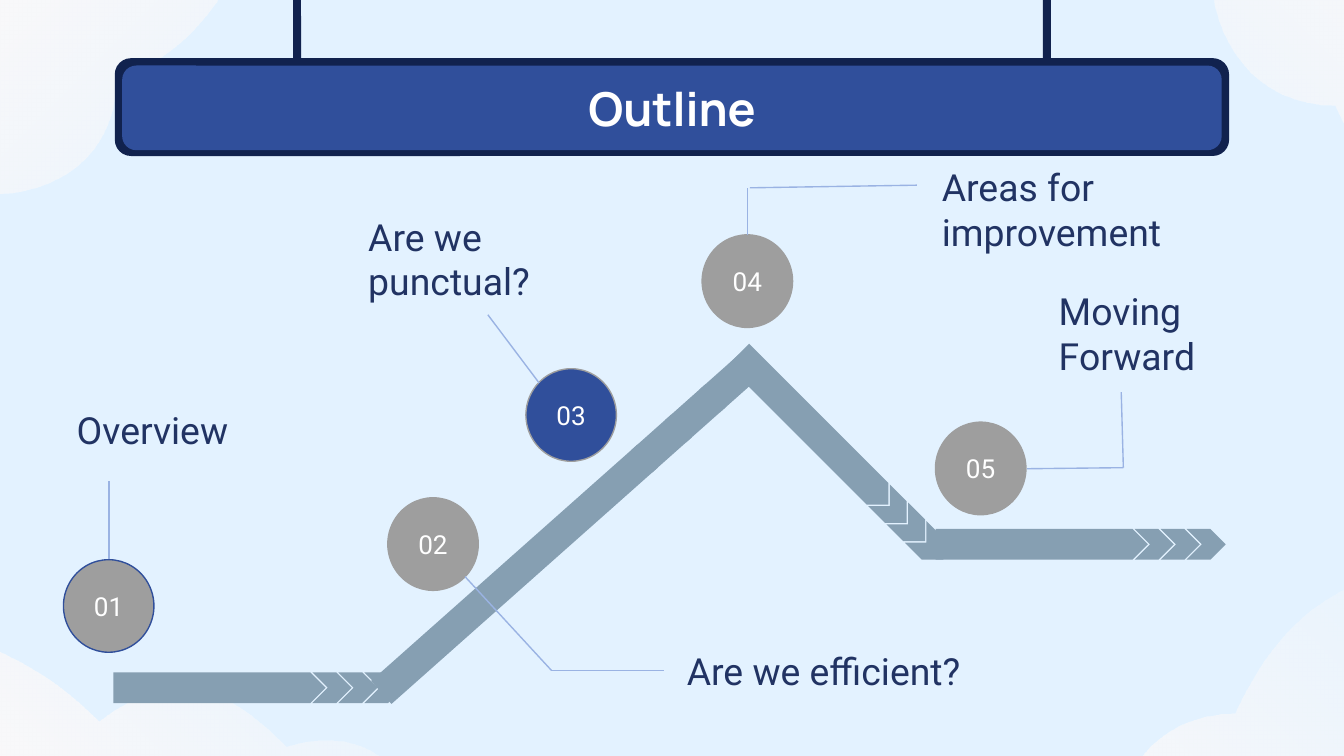
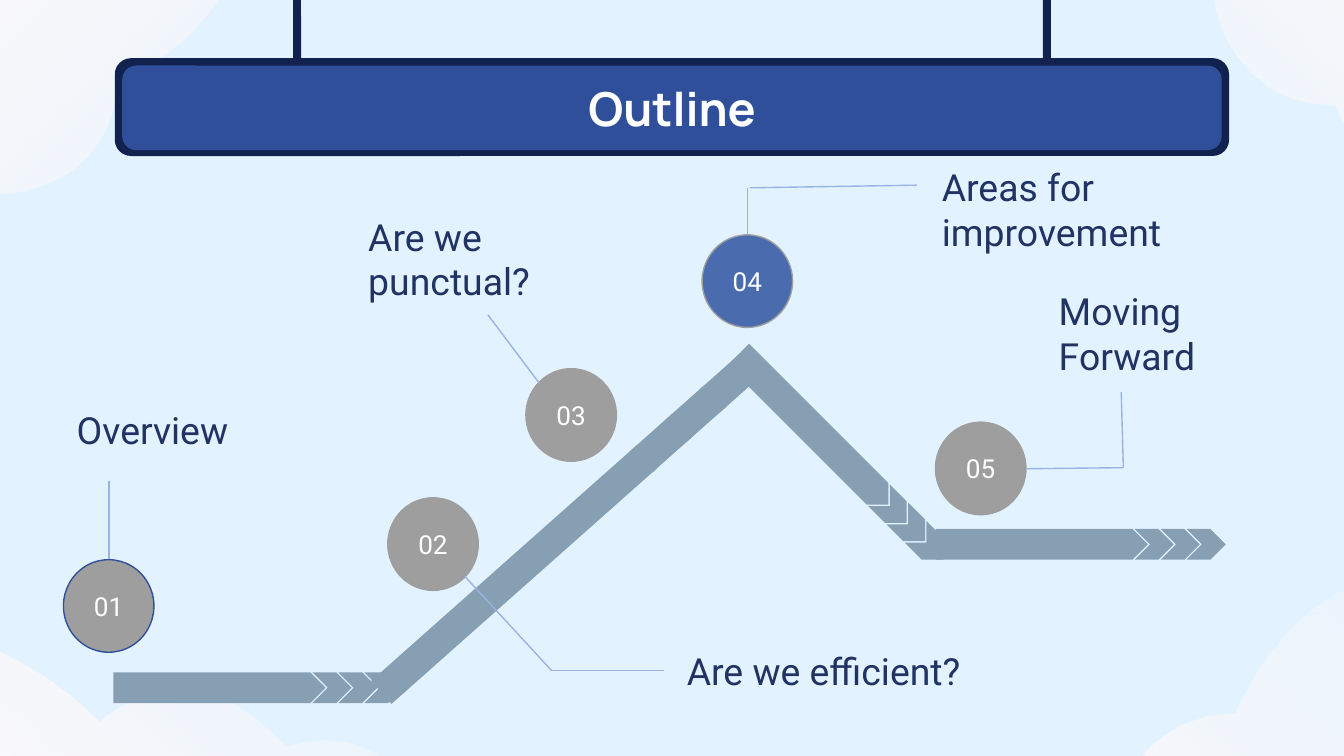
from dataclasses import dataclass
from itertools import pairwise
from math import cos, radians, sin

from lxml.etree import SubElement
from pptx import Presentation
from pptx.dml.color import RGBColor
from pptx.enum.shapes import MSO_CONNECTOR, MSO_SHAPE
from pptx.enum.text import MSO_ANCHOR, MSO_AUTO_SIZE, PP_ALIGN
from pptx.oxml.ns import qn
from pptx.slide import Slide
from pptx.util import Cm, Pt

SKY = RGBColor(0xE3, 0xF2, 0xFF)
CLOUD = RGBColor(0xFE, 0xFA, 0xF9)
NAVY = RGBColor(0x11, 0x22, 0x4E)
BLUE = RGBColor(0x30, 0x4F, 0x9B)
MID_BLUE = RGBColor(0x4A, 0x6C, 0xAF)
PALE_BLUE = RGBColor(0x9A, 0xB3, 0xE3)
STEEL = RGBColor(0x86, 0x9F, 0xB2)
GREY = RGBColor(0x9E, 0x9E, 0x9E)
INK = RGBColor(0x21, 0x33, 0x63)
WHITE = RGBColor(0xFF, 0xFF, 0xFF)

CORNER_CLOUD = [
    (7.77, 0.33),
    (7.77, 0.33), (5.61, 0), (4.27, 2.95),
    (2.74, 2.95), (1.91, 4.19), (1.91, 5.59),
    (0.58, 5.59), (0, 6.91), (0, 6.91),
    (7.77, 6.91),
]
MIRRORED_CLOUD = [(7.77 - x, y) for x, y in CORNER_CLOUD]
LOW_CLOUD = [
    (0, 0.5),
    (0, 0.5), (1.8, 0), (3.96, 2.13),
    (5.59, 0.89), (6.6, 1.72), (7.49, 2.61),
    (9.22, 2.05), (9.75, 3.4), (9.75, 3.4),
    (0, 3.4),
]
CLOUDS = [
    (MIRRORED_CLOUD, -1.73, -1.17, 0.89, 90),
    (CORNER_CLOUD, 19.08, 10.52, 1, 0),
    (LOW_CLOUD, -2.08, 11.51, 1, 0),
    (MIRRORED_CLOUD, 20.96, -1.96, 1, 180),
]

RIBBONS = [
    (9.83, 10.76, 318.4, 1.75),
    (15.37, 8.12, 45, 1),
    (19.69, 10.29, 0, 1),
    (4.15, 13, 0, 1),
]
STEPS = [
    ("01", (1.2, 10.58), ["Overview"], (1.2, 7.44, 5.82, 1.37),
     [[(2.06, 10.57), (2.06, 9.09)]]),
    ("02", (7.33, 9.41), ["Are we efficient?"], (12.73, 12, 7.32, 1.37),
     [[(8.79, 10.9), (10.42, 12.67), (12.55, 12.67)]]),
    ("03", (9.94, 6.97), ["Are we punctual?"], (6.71, 3.79, 5.82, 2.24),
     [[(10.19, 7.24), (9.22, 5.95)]]),
    ("04", (13.27, 4.44), ["Areas for", "improvement"], (17.55, 2.85, 8.1, 2.24),
     [[(14.17, 3.55), (17.33, 3.5)], [(14.13, 4.44), (14.13, 3.55)]]),
    ("05", (17.68, 7.98), ["Moving", "Forward"], (19.76, 5.2, 4.29, 2.24),
     [[(19.41, 8.86), (21.23, 8.84), (21.19, 7.41)]]),
]


def write_text(shape, lines, *, size, color, font="Roboto", bold=False,
               align=PP_ALIGN.LEFT, anchor=MSO_ANCHOR.TOP, grow=False):
    frame = shape.text_frame
    frame.word_wrap = True
    frame.auto_size = MSO_AUTO_SIZE.SHAPE_TO_FIT_TEXT if grow else MSO_AUTO_SIZE.NONE
    frame.vertical_anchor = anchor
    frame.margin_left = frame.margin_right = Cm(0.25)
    frame.margin_top = frame.margin_bottom = Cm(0.25)
    for index, line in enumerate(lines):
        para = frame.add_paragraph() if index else frame.paragraphs[0]
        para.alignment = align
        span = para.add_run()
        span.text = line
        span.font.name = font
        span.font.size = Pt(size)
        span.font.bold = bold
        span.font.color.rgb = color


def curve_outline(shape):
    segments = shape._element.xpath(".//a:lnTo")[:9]
    outline = segments[0].getparent()
    for index in range(0, len(segments), 3):
        curve = SubElement(outline, qn("a:cubicBezTo"))
        segments[index].addprevious(curve)
        for segment in segments[index:index + 3]:
            curve.append(segment[0])
            outline.remove(segment)


@dataclass
class Painter:
    page: Slide
    line_width: float = 0.75

    def background(self):
        self.page.background.fill.solid()
        self.page.background.fill.fore_color.rgb = SKY

    def cloud(self, points, left, top, scale, rotation):
        start, *rest = [(Cm(left + scale * x), Cm(top + scale * y)) for x, y in points]
        builder = self.page.shapes.build_freeform(*start)
        builder.add_line_segments(rest, close=True)
        shape = builder.convert_to_shape()
        curve_outline(shape)
        shape.rotation = rotation
        shape.shadow.inherit = False
        shape.line.fill.background()
        shape.fill.gradient()
        shape.fill.gradient_angle = 225
        for stop in shape.fill.gradient_stops:
            stop.color.rgb = CLOUD
        faint = shape._element.xpath(".//a:gs/a:srgbClr")[0]
        SubElement(faint, qn("a:alpha")).set("val", "19000")

    def shape(self, kind, left, top, width, height, fill, line=None):
        shape = self.page.shapes.add_shape(kind, Cm(left), Cm(top), Cm(width), Cm(height))
        shape.shadow.inherit = False
        shape.fill.solid()
        shape.fill.fore_color.rgb = fill
        if line is None:
            shape.line.fill.background()
        else:
            shape.line.color.rgb = line
            shape.line.width = Pt(self.line_width)
        return shape

    def label(self, lines, place, **style):
        box = self.page.shapes.add_textbox(*(Cm(length) for length in place))
        write_text(box, lines, **style)

    def leader(self, points):
        for begin, end in pairwise(points):
            line = self.page.shapes.add_connector(
                MSO_CONNECTOR.STRAIGHT, *(Cm(length) for length in begin + end))
            line.line.color.rgb = PALE_BLUE
            line.line.width = Pt(self.line_width)
            SubElement(line._element.spPr, qn("a:effectLst"))

    def ribbon(self, center_x, center_y, angle, stretch):
        body, chevron, step, height = 4.01, 0.74, 0.49, 0.58
        pieces = [(MSO_SHAPE.PENTAGON, body, 0)]
        for index in range(3):
            offset = body / 2 - 0.25 + chevron / 2 + index * step
            pieces.append((MSO_SHAPE.CHEVRON, chevron, offset))
        for kind, length, offset in pieces:
            width = length * stretch
            x = center_x + offset * stretch * cos(radians(angle))
            y = center_y + offset * stretch * sin(radians(angle))
            piece = self.shape(kind, x - width / 2, y - height / 2, width, height, STEEL)
            piece.rotation = angle

    def sign(self, title):
        bars = [
            (2.17, 1.1, 21.06, 1.85, NAVY),
            (2.31, 1.24, 20.78, 1.6, BLUE),
            (19.71, -0.69, 0.15, 1.85, NAVY),
            (5.54, -0.69, 0.15, 1.85, NAVY),
        ]
        for bar in bars:
            self.shape(MSO_SHAPE.ROUNDED_RECTANGLE, *bar)
        self.label([title], (1.99, 1.24, 21.42, 1.6), size=25, color=WHITE, font="Manrope",
                   bold=True, align=PP_ALIGN.CENTER, anchor=MSO_ANCHOR.MIDDLE)

    def step(self, number, spot, lines, place, leaders, fill):
        outline = BLUE if number == "01" else GREY
        circle = self.shape(MSO_SHAPE.OVAL, *spot, 1.71, 1.75, fill, outline)
        write_text(circle, [number], size=14, color=WHITE,
                   align=PP_ALIGN.CENTER, anchor=MSO_ANCHOR.MIDDLE)
        for points in leaders:
            self.leader(points)
        self.label(lines, place, size=20, color=INK, grow=True)


def main():
    deck = Presentation()
    deck.slide_width, deck.slide_height = Cm(25.4), Cm(14.29)
    for current, highlight in (("03", BLUE), ("04", MID_BLUE)):
        painter = Painter(deck.slides.add_slide(deck.slide_layouts[6]))
        painter.background()
        for cloud in CLOUDS:
            painter.cloud(*cloud)
        painter.sign("Outline")
        for ribbon in RIBBONS:
            painter.ribbon(*ribbon)
        for step in STEPS:
            painter.step(*step, highlight if step[0] == current else GREY)
    deck.save("out.pptx")


if __name__ == "__main__":
    main()
